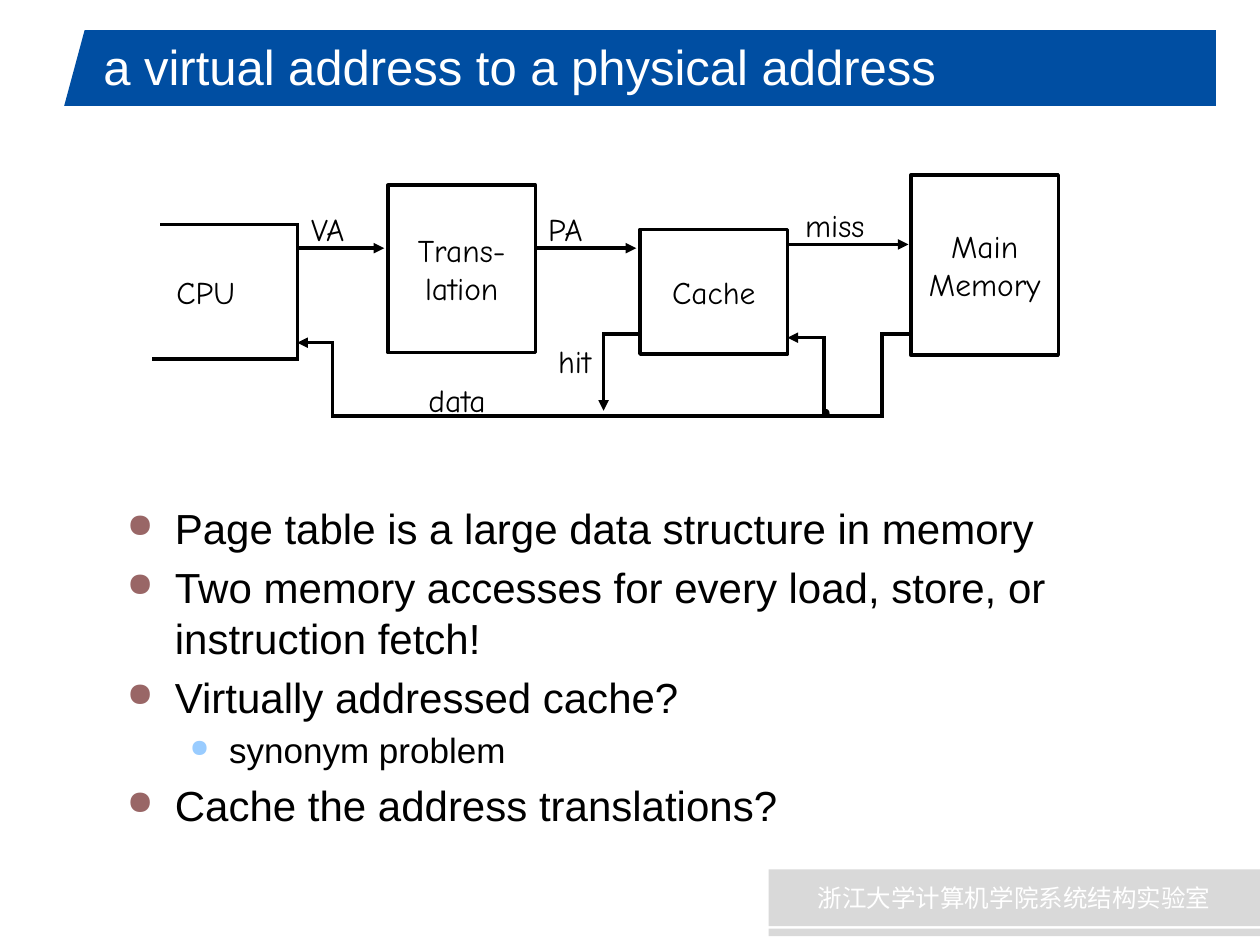
from lxml import etree
from pptx import Presentation, util as u
from pptx.dml.color import RGBColor
from pptx.enum import shapes, text
from pptx.oxml.ns import qn

EMU_PER_PX = 9144  # 100 px to the inch
BLACK, WHITE, BLUE, GREY = "000000", "FFFFFF", "004EA2", "D9D9D9"
ROSE, SKY = "996666", "99CCFF"
LEFT, CENTER = text.PP_ALIGN.LEFT, text.PP_ALIGN.CENTER
MIDDLE = text.MSO_ANCHOR.MIDDLE


def px(*lengths):
    return [u.Emu(length * EMU_PER_PX) for length in lengths]


def color(hex_string):
    return RGBColor.from_string(hex_string)


def add_xml(parent, tag, **attributes):
    return etree.SubElement(parent, qn(tag), attributes)


class Deck:
    """Holds the style and the slide being drawn."""
    body_font, diagram_font, footer_font = "Arial", "Comic Neue", "Noto Sans CJK SC"
    line_width = u.Pt(2)
    bullets = [  # indent, hanging, size, colour, bullet size, space before
        (38, 38, 24, ROSE, "80000", 5),
        (81, 31, 20, SKY, "70000", 4),
    ]

    def __init__(self, slide):
        self.slide = slide

    def style(self, paragraph, font_name, size, font_color, align=LEFT):
        paragraph.alignment = align
        font = paragraph.font
        font.name, font.size = font_name, u.Pt(size)
        font.color.rgb = color(font_color)
        properties = paragraph._p.get_or_add_pPr().find(qn("a:defRPr"))
        add_xml(properties, "a:ea", typeface=font_name)

    def title(self, words, *box):
        title = self.slide.shapes.title
        title.left, title.top, title.width, title.height = px(*box)
        frame = title.text_frame
        frame.text = words
        frame.auto_size = text.MSO_AUTO_SIZE.NONE
        frame.vertical_anchor = MIDDLE
        self.style(frame.paragraphs[0], self.body_font, 28, WHITE)
        self.slide.shapes.element.append(title.element)  # in front of the banner

    def shape(self, kind, *box, fill=None, line=None):
        shape = self.slide.shapes.add_shape(kind, *px(*box))
        shape.shadow.inherit = False
        if fill:
            shape.fill.solid()
            shape.fill.fore_color.rgb = color(fill)
        else:
            shape.fill.background()
        if line:
            shape.line.color.rgb = color(line)
            shape.line.width = self.line_width
        else:
            shape.line.fill.background()
        return shape

    def bar(self, *box, fill):
        return self.shape(shapes.MSO_SHAPE.RECTANGLE, *box, fill=fill)

    def footer(self, words, *box):
        frame = self.bar(*box, fill=GREY).text_frame
        frame.text = words
        frame.vertical_anchor = MIDDLE
        self.style(frame.paragraphs[0], self.footer_font, 14, WHITE, CENTER)

    def block(self, words, *box):
        frame = self.shape(shapes.MSO_SHAPE.RECTANGLE, *box, line=BLACK).text_frame
        frame.text = words
        frame.word_wrap = False
        frame.vertical_anchor = MIDDLE
        for paragraph in frame.paragraphs:
            self.style(paragraph, self.diagram_font, 18, BLACK, CENTER)

    def label(self, words, left, top, width):
        frame = self.slide.shapes.add_textbox(*px(left, top, width, 31)).text_frame
        frame.margin_left, frame.margin_right = px(7, 7)
        frame.margin_top, frame.margin_bottom = px(3, 3)
        frame.text = words
        frame.word_wrap = False
        frame.paragraphs[0].line_spacing = 0.85
        self.style(frame.paragraphs[0], self.diagram_font, 18, BLACK)

    def wire(self, *points, arrow=False):
        """Joins the points with straight lines; an arrow ends the last one."""
        for start, end in zip(points, points[1:]):
            connector = self.slide.shapes.add_connector(
                shapes.MSO_CONNECTOR.STRAIGHT, *px(*start, *end))
            connector.line.color.rgb = color(BLACK)
            connector.line.width = self.line_width
            line = connector.line._get_or_add_ln()
            line.set("cap", "sq")
            if arrow and end == points[-1]:
                add_xml(line, "a:tailEnd", type="triangle")
            add_xml(connector._element.spPr, "a:effectLst")

    def bullet_list(self, items, *box):
        frame = self.slide.shapes.add_textbox(*px(*box)).text_frame
        frame.word_wrap = True
        frame.text = "\n".join(words for level, words in items)
        for index, (level, words) in enumerate(items):
            indent, hanging, size, bullet_color, bullet_size, gap = self.bullets[level]
            paragraph = frame.paragraphs[index]
            paragraph.level = level
            paragraph.space_before = u.Pt(gap if index else 0)
            properties = paragraph._p.get_or_add_pPr()
            properties.set("marL", str(indent * EMU_PER_PX))
            properties.set("indent", str(-hanging * EMU_PER_PX))
            add_xml(add_xml(properties, "a:buClr"), "a:srgbClr", val=bullet_color)
            add_xml(properties, "a:buSzPct", val=bullet_size)
            add_xml(properties, "a:buChar", char="●")
            self.style(paragraph, self.body_font, size, BLACK)


def main():
    presentation = Presentation()
    presentation.slide_width, presentation.slide_height = px(1000, 750)
    deck = Deck(presentation.slides.add_slide(presentation.slide_layouts[5]))

    banner_end = deck.shape(shapes.MSO_SHAPE.TRAPEZOID, 51, 24, 406, 60, fill=BLUE)
    banner_end.adjustments[0] = 0.27
    deck.bar(382, 24, 583, 60, fill=BLUE)
    deck.footer("浙江大学计算机学院系统结构实验室", 610, 690, 390, 45)
    deck.bar(610, 737, 390, 6, fill=GREY)
    deck.title("a virtual address to a physical address", 72, 25, 864, 55)

    deck.bullet_list([
        (0, "Page table is a large data structure in memory"),
        (0, "Two memory accesses for every load, store, or instruction fetch!"),
        (0, "Virtually addressed cache?"),
        (1, "synonym problem"),
        (0, "Cache the address translations?"),
    ], 91, 394, 867, 290)

    # The CPU is open on its left side
    deck.wire((128, 178), (236, 178), (236, 285), (122, 285))
    deck.block("Trans-\nlation", 308, 147, 117, 133)
    deck.block("Cache", 508, 182, 117, 99)
    deck.block("Main\nMemory", 723, 139, 117, 143)

    # Requests run to the right
    deck.wire((236, 197), (305, 197), arrow=True)
    deck.wire((425, 197), (505, 197), arrow=True)
    deck.wire((625, 194), (721, 194), arrow=True)

    # Data returns along the bus at the bottom
    deck.wire((723, 265), (700, 265), (700, 330), (264, 330), (264, 272), (236, 272),
              arrow=True)
    deck.wire((654, 330), (654, 268), (625, 268), arrow=True)
    deck.wire((508, 265), (479, 265), (479, 326), arrow=True)
    deck.shape(shapes.MSO_SHAPE.OVAL, 654, 326, 3, 4, fill=SKY, line=BLACK)

    for words, left, top, width in [
        ("CPU", 133, 218, 61),
        ("VA", 240, 168, 49),
        ("PA", 428, 168, 45),
        ("miss", 632, 165, 65),
        ("hit", 436, 273, 47),
        ("data", 333, 304, 68),
    ]:
        deck.label(words, left, top, width)

    presentation.save("out.pptx")


if __name__ == "__main__":
    main()
